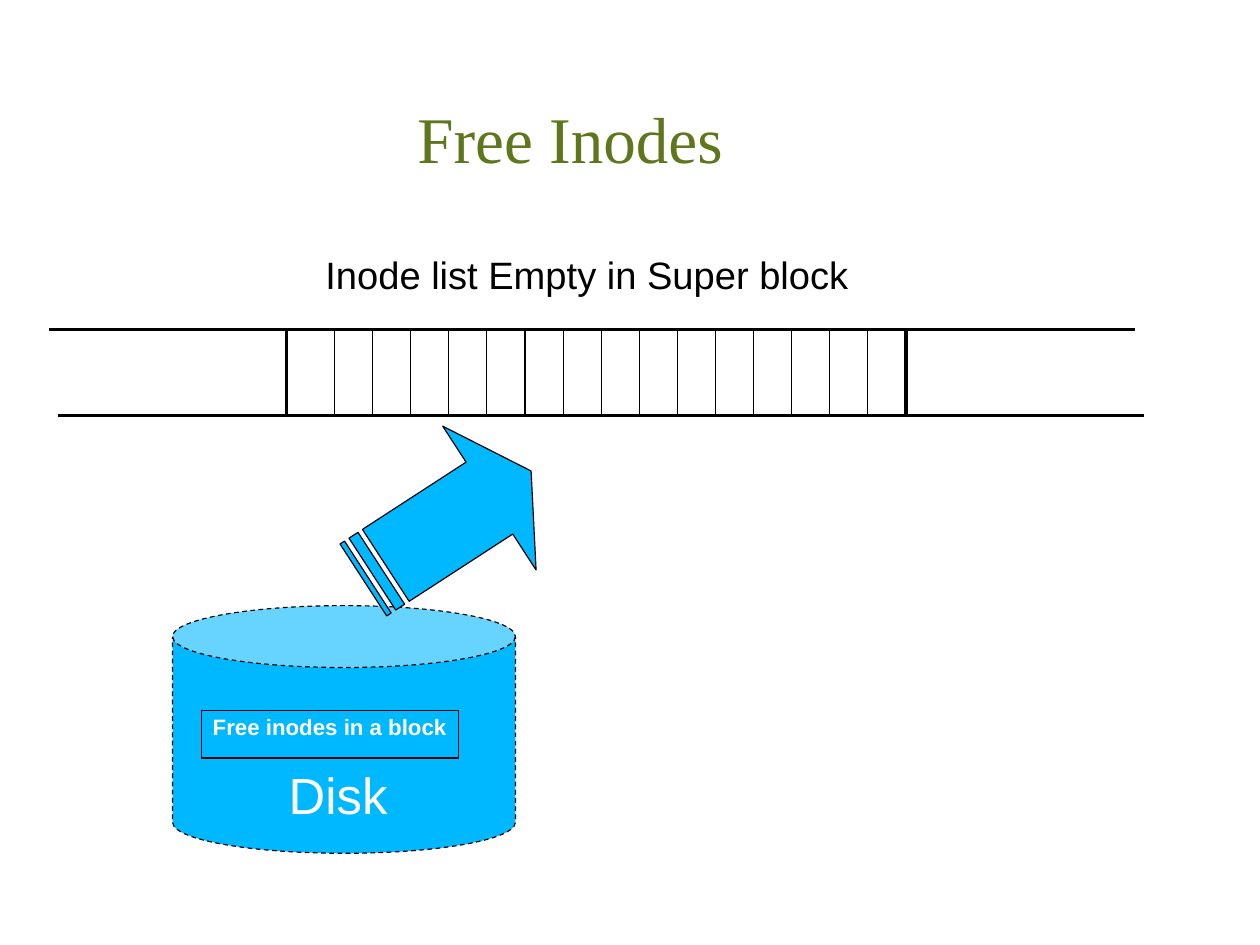
import pptx
import pptx.dml.color
import pptx.enum.dml
import pptx.enum.shapes
import pptx.enum.text
import pptx.oxml.ns
import pptx.util
from lxml import etree

Pt = pptx.util.Pt
RGBColor = pptx.dml.color.RGBColor
MSO_SHAPE = pptx.enum.shapes.MSO_SHAPE
PP_ALIGN = pptx.enum.text.PP_ALIGN

OLIVE = RGBColor(0x5E, 0x76, 0x1C)
BLACK = RGBColor(0, 0, 0)
WHITE = RGBColor(255, 255, 255)
SKY_BLUE = RGBColor(0, 0xB8, 0xFF)

THIN = 0.75
THICK = 2


def write_text(shape, text, size, color, font_name="Arial", bold=False,
               align=PP_ALIGN.CENTER, wrap=True):
    frame = shape.text_frame
    frame.text = text
    frame.word_wrap = wrap
    frame.auto_size = pptx.enum.text.MSO_AUTO_SIZE.NONE
    frame.vertical_anchor = pptx.enum.text.MSO_ANCHOR.MIDDLE
    frame.margin_top = frame.margin_bottom = 0
    paragraph = frame.paragraphs[0]
    paragraph.alignment = align
    font = paragraph.runs[0].font
    font.name = font_name
    font.size = Pt(size)
    font.bold = bold
    font.color.rgb = color


def add_blue_shape(slide, preset, left, top, width, height):
    shape = slide.shapes.add_shape(preset, Pt(left), Pt(top), Pt(width), Pt(height))
    shape.shadow.inherit = False
    shape.fill.solid()
    shape.fill.fore_color.rgb = SKY_BLUE
    shape.line.color.rgb = BLACK
    shape.line.width = Pt(THIN)
    return shape


def add_line(slide, x1, y1, x2, y2, weight):
    line = slide.shapes.add_connector(
        pptx.enum.shapes.MSO_CONNECTOR.STRAIGHT, Pt(x1), Pt(y1), Pt(x2), Pt(y2))
    line.line.color.rgb = BLACK
    line.line.width = Pt(weight)
    properties = line._element.spPr
    etree.SubElement(properties, pptx.oxml.ns.qn("a:effectLst"))


def add_title(slide, left, top, width, height):
    title = slide.shapes.title
    title.left, title.top = Pt(left), Pt(top)
    title.width, title.height = Pt(width), Pt(height)
    write_text(title, "Free Inodes", 41, OLIVE, font_name="Times New Roman")


def add_inode_list(slide, left, top, width, height):
    """Draw the caption, the two long rails and the slots between them."""
    list_left, list_width = left + 150, 390
    caption = slide.shapes.add_textbox(
        Pt(list_left), Pt(top - 42.5), Pt(378), Pt(15))
    write_text(caption, "Inode list Empty in Super block", 24, BLACK)

    bottom = top + height
    rail_shift = 6
    rail_length = width - rail_shift
    add_line(slide, left, top, left + rail_length, top, THICK)
    add_line(slide, left + rail_shift, bottom, left + width, bottom, THICK)
    for x in (list_left, list_left + list_width):
        add_line(slide, x, top, x, bottom, THICK)

    first_slot, slot_width, divider_count = 30, 24, 15
    for index in range(divider_count):
        x = list_left + first_slot + index * slot_width
        add_line(slide, x, top, x, bottom, THIN)


def add_disk(slide, left, top, width, height):
    disk = add_blue_shape(slide, MSO_SHAPE.CAN, left, top, width, height)
    disk.adjustments[0] = 0.25
    disk.line.dash_style = pptx.enum.dml.MSO_LINE.DASH

    block = add_blue_shape(slide, MSO_SHAPE.RECTANGLE, left + 18, top + 66, 162, 30)
    write_text(block, "Free inodes in a block", 14, WHITE, bold=True, wrap=False)
    block.text_frame.margin_bottom = Pt(9)

    name = slide.shapes.add_textbox(Pt(left + 66), Pt(top + 110), Pt(76), Pt(18))
    write_text(name, "Disk", 32, WHITE, align=PP_ALIGN.LEFT, wrap=False)


def add_refill_arrow(slide, left, top, width, height):
    arrow = add_blue_shape(
        slide, MSO_SHAPE.STRIPED_RIGHT_ARROW, left, top, width, height)
    arrow.adjustments[0] = 0.5
    arrow.adjustments[1] = 0.29
    arrow.rotation = 327


def main():
    presentation = pptx.Presentation()
    presentation.slide_width = Pt(793.75)
    presentation.slide_height = Pt(595.25)
    title_only = presentation.slide_layouts[5]
    slide = presentation.slides.add_slide(title_only)
    add_title(slide, 54, 41.5, 610.5, 90)
    add_disk(slide, 108.75, 381.5, 216, 156)
    add_refill_arrow(slide, 218.75, 277, 126, 108)
    add_inode_list(slide, 30.75, 207.5, 690, 54)
    presentation.save("out.pptx")


if __name__ == "__main__":
    main()
